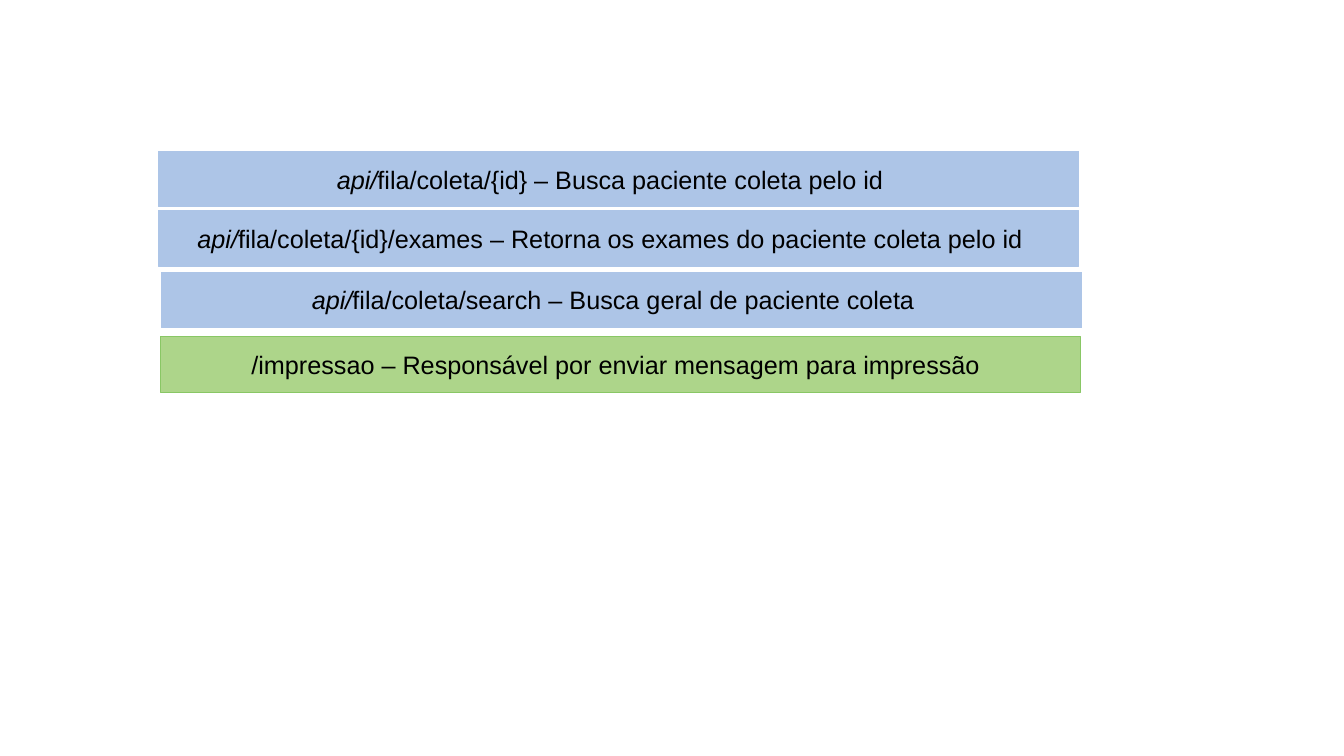
from pptx import Presentation
from pptx.dml.color import RGBColor
from pptx.enum.shapes import MSO_SHAPE as Shape
from pptx.enum.text import MSO_ANCHOR as Anchor, PP_ALIGN as Align
from pptx.util import Emu, Pt

EMU_PER_PX = 9144  # 100 px to the inch
BAR_WIDTH, BAR_HEIGHT = 913, 55
BLUE = {"fill": "ADC5E7", "line": "ADC5E7"}
GREEN = {"fill": "ADD58A", "line": "89C765"}

# left, top, colours, italic prefix, text
ENDPOINTS = [
    (159, 334, GREEN, "", "/impressao – Responsável por enviar mensagem para impressão"),
    (157, 150, BLUE, "api/", "fila/coleta/{id} – Busca paciente coleta pelo id "),
    (157, 209, BLUE, "api/",
     "fila/coleta/{id}/exames – Retorna os exames do paciente coleta pelo id "),
    (160, 270, BLUE, "api/", "fila/coleta/search – Busca geral de paciente coleta "),
]


def px(length):
    return Emu(length * EMU_PER_PX)


def color(value):
    return RGBColor.from_string(value)


def set_all(target, values):
    for name, value in values.items():
        setattr(target, name, value)


def add_span(para, text, italic):
    span = para.add_run()
    span.text = text
    set_all(span.font, {"name": "Arial", "size": Pt(18), "italic": italic})
    span.font.color.rgb = color("000000")


def add_endpoint(page, left, top, colors, prefix, text):
    bar = page.shapes.add_shape(
        Shape.RECTANGLE, px(left), px(top), px(BAR_WIDTH), px(BAR_HEIGHT))
    bar.shadow.inherit = False
    bar.fill.solid()
    bar.fill.fore_color.rgb = color(colors["fill"])
    bar.line.color.rgb = color(colors["line"])
    bar.line.width = Pt(0.75)
    frame = bar.text_frame
    set_all(frame, {
        "word_wrap": False, "vertical_anchor": Anchor.MIDDLE,
        "margin_left": 0, "margin_right": px(10),
        "margin_top": px(5), "margin_bottom": px(5),
    })
    para = frame.paragraphs[0]
    para.alignment = Align.CENTER
    if prefix:
        add_span(para, prefix, True)
    add_span(para, text, False)


def main():
    deck = Presentation()
    set_all(deck, {"slide_width": px(1333), "slide_height": px(750)})
    page = deck.slides.add_slide(deck.slide_layouts[6])
    for endpoint in ENDPOINTS:
        add_endpoint(page, *endpoint)
    deck.save("out.pptx")


if __name__ == "__main__":
    main()
